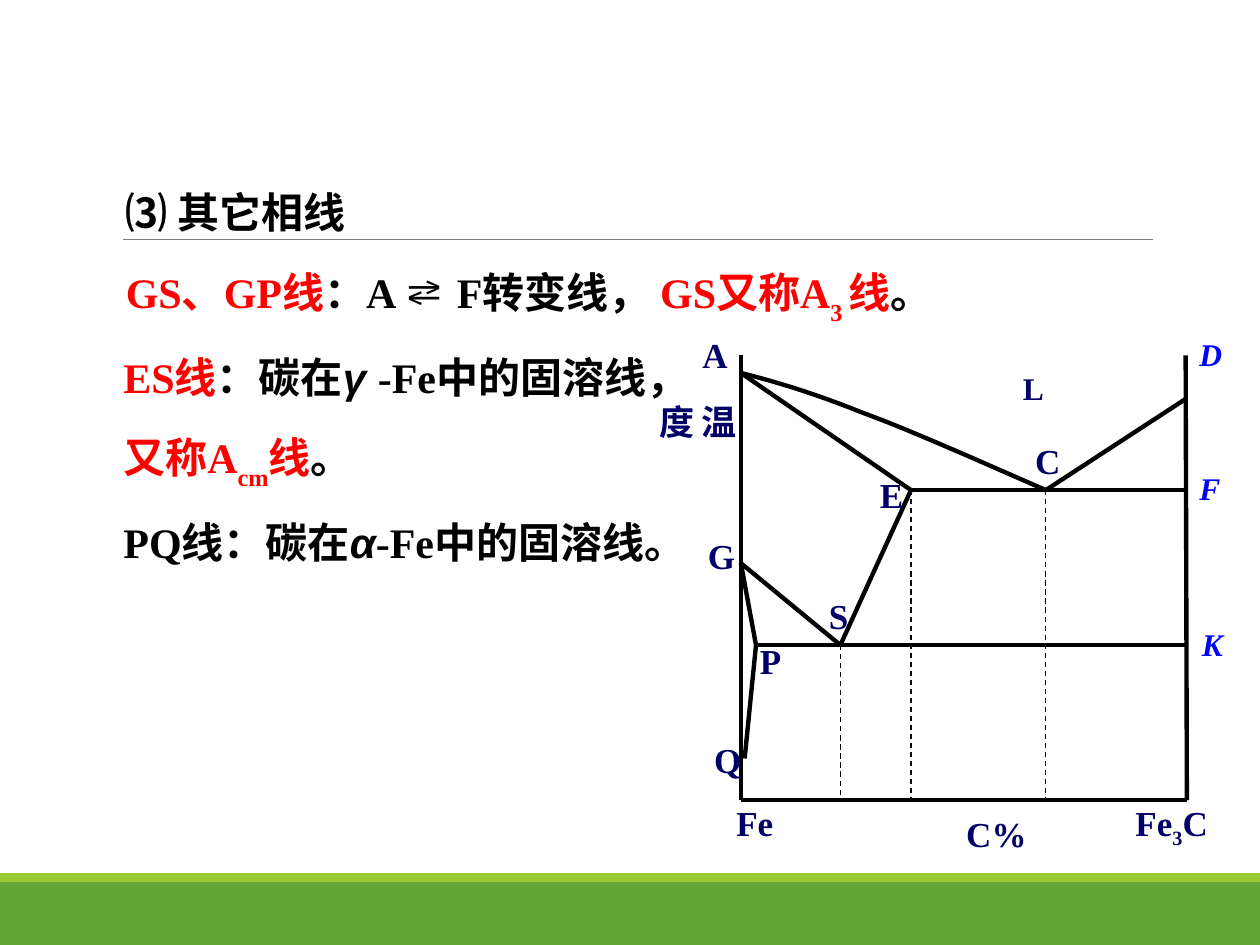
from lxml import etree
from pptx import Presentation
from pptx.dml.color import RGBColor
from pptx.enum.dml import MSO_LINE
from pptx.enum.shapes import MSO_CONNECTOR, MSO_SHAPE
from pptx.enum.text import MSO_AUTO_SIZE, PP_ALIGN
from pptx.oxml.ns import qn
from pptx.util import Inches, Pt

RECT, STRAIGHT = MSO_SHAPE.RECTANGLE, MSO_CONNECTOR.STRAIGHT
DASH = MSO_LINE.DASH
LEFT, CENTER = PP_ALIGN.LEFT, PP_ALIGN.CENTER
GROW, FIXED = MSO_AUTO_SIZE.SHAPE_TO_FIT_TEXT, MSO_AUTO_SIZE.NONE
SERIF, SANS, GREEK = "Times New Roman", "Calibri", "Arial"
COLORS = {"green": "63A537", "lime": "99CB38", "rule": "7F7F7F", "black": "000000",
          "red": "FF0000", "navy": "000066", "blue": "0000FF"}


def rgb(name):
    return RGBColor.from_string(COLORS[name])


def add_line(slide, start, end, color="black", width=2.5, dash=None):
    line = slide.shapes.add_connector(STRAIGHT, *(Inches(v) for v in (*start, *end)))
    line.line.color.rgb = rgb(color)
    line.line.width = Pt(width)
    if dash:
        line.line.dash_style = dash
    etree.SubElement(line._element.spPr, qn("a:effectLst"))


def add_text(slide, box, paragraphs, size, color, spacing=None, align=LEFT,
             italic=None, inset=(0.1, 0.05), wrap=True, auto_size=GROW):
    """Add a bold text box; a run is (text, overrides of color, font, italic, baseline)."""
    sp = slide.shapes.add_textbox(*(Inches(v) for v in box))
    tf = sp.text_frame
    tf.word_wrap, tf.auto_size = wrap, auto_size
    tf.margin_left = tf.margin_right = Inches(inset[0])
    tf.margin_top = tf.margin_bottom = Inches(inset[1])
    for i, runs in enumerate(paragraphs):
        p = tf.add_paragraph() if i else tf.paragraphs[0]
        p.alignment, p.line_spacing = align, spacing
        p.font.size, p.font.bold, p.font.italic = Pt(size), True, italic
        for text, style in runs:
            r = p.add_run()
            r.text = text
            r.font.name = style.get("font", SERIF)
            r.font.color.rgb = rgb(style.get("color", color))
            if "italic" in style:
                r.font.italic = style["italic"]
            if "baseline" in style:
                r.font._element.set("baseline", str(style["baseline"] * 1000))
    return sp


def add_frame(slide):
    for top, height, color in ((7, 0.5, "green"), (6.93, 0.07, "lime")):
        band = slide.shapes.add_shape(RECT, 0, Inches(top), Inches(10), Inches(height))
        band.shadow.inherit = False
        band.fill.solid()
        band.fill.fore_color.rgb = rgb(color)
        band.line.fill.background()
    add_line(slide, (0.98, 1.9), (9.15, 1.9), "rule", 0.5)


def add_explanations(slide, heading_box, body_box):
    red, sans = {"color": "red"}, {"font": SANS}
    greek = {"font": GREEK, "italic": True}
    red_sans = {**red, **sans}
    red_sub = {**red, "baseline": -30}
    add_text(slide, body_box, [
        [("ES线", red), ("：", {}), ("碳在", sans), ("γ ", greek), ("-Fe", {}),
         ("中的固溶线，", sans), ("又称", red_sans), ("A", red), ("cm", red_sub),
         ("线", red_sans), ("。", sans)],
        [("PQ", {}), ("线：碳在", sans), ("α", greek), ("-Fe", {}), ("中的固溶线。", sans)],
    ], 24, "black", spacing=1.5, inset=(0, 0.05), auto_size=FIXED)
    add_text(slide, heading_box, [
        [("⑶ 其它相线", {})],
        [("GS、GP线", red), ("：A ⇄ F转变线， ", {}), ("GS又称A", red),
         ("3 ", red_sub), ("线", red), ("。", {})],
    ], 24, "black", spacing=1.5)


def bezier(p0, p1, p2, p3, steps=12):
    """Return the points of a cubic curve after its start."""
    points = []
    for i in range(1, steps + 1):
        t = i / steps
        u = 1 - t
        points.append(tuple(u**3 * a + 3 * u * u * t * b + 3 * u * t * t * c + t**3 * d
                            for a, b, c, d in zip(p0, p1, p2, p3)))
    return points


def add_curve(slide, points):
    start, *others = [(Inches(x), Inches(y)) for x, y in points]
    builder = slide.shapes.build_freeform(*start)
    builder.add_line_segments(others, close=False)
    curve = builder.convert_to_shape()
    curve.shadow.inherit = False
    curve.fill.background()
    curve.line.color.rgb = rgb("black")
    curve.line.width = Pt(2.5)


def add_phase_diagram(slide, left, top, width, height):
    def at(x, y):
        return left + x, top + y

    eutectic, eutectoid = 1.07, 2.3
    points = {
        "top left": at(0, 0), "top right": at(width - 0.01, 0),
        "bottom left": at(0, height), "bottom right": at(width, height),
        "A": at(0, 0.14), "D": at(width, 0.34), "G": at(0, 1.65), "Q": at(0.03, 3.2),
        "E": at(1.35, eutectic), "C": at(2.42, eutectic), "F": at(width, eutectic),
        "P": at(0.12, eutectoid), "S": at(0.79, eutectoid), "K": at(width, eutectoid),
    }
    edges = [("top left", "bottom left"), ("bottom left", "bottom right"),
             ("bottom right", "top right")]
    for start, end in edges + ["EF", "PK", "AE", "CD", "GP", "GS", "ES", "PQ"]:
        add_line(slide, points[start], points[end])
    for name in "SEC":
        x, y = points[name]
        add_line(slide, (x, y), (x, top + height), width=0.75, dash=DASH)

    middle = at(0.95, 0.45)
    add_curve(slide, [points["A"],
                      *bezier(points["A"], at(0.27, 0.21), at(0.55, 0.29), middle),
                      *bezier(middle, at(1.36, 0.6), at(1.89, 0.84), points["C"])])

    labels = [("S", 0.55, 1.85, 0.45), ("Q", -0.33, 2.99, 0.45), ("P", 0.01, 2.21, 0.45),
              ("G", -0.36, 1.37, 0.39), ("E", 0.97, 0.89, 0.45), ("C", 2.21, 0.62, 0.45),
              ("A", -0.43, -0.22, 0.45), ("Fe", -0.2, 3.49, 0.62), ("C%", 1.69, 3.58, 0.79)]
    for text, x, y, w in labels:
        add_text(slide, (*at(x, y), w, 0.44), [[(text, {})]], 20, "navy",
                 align=LEFT if text == "C%" else CENTER)
    add_text(slide, (*at(3.02, 3.49), 0.8, 0.48),
             [[("Fe", {}), ("3", {"baseline": -25}), ("C", {})]], 20, "navy", align=CENTER)
    add_text(slide, (*at(2.14, 0.06), 0.34, 0.4), [[("L", {})]], 18, "navy", align=CENTER)
    axis = add_text(slide, (*at(-0.5, 0.29), 0.53, 0.72), [[("温度", {})]], 20, "navy",
                    inset=(0.05, 0.1))
    axis.text_frame._txBody.bodyPr.set("vert", "eaVert")
    for text, x, y, w in (("D", 3.54, -0.21, 0.38), ("F", 3.54, 0.85, 0.36),
                          ("K", 3.56, 2.09, 0.29)):
        add_text(slide, (*at(x, y), w, 0.4), [[(text, {})]], 18, "blue",
                 italic=True, wrap=text == "K")


def main():
    prs = Presentation()
    prs.slide_width, prs.slide_height = Inches(10), Inches(7.5)
    slide = prs.slides.add_slide(prs.slide_layouts[6])
    add_frame(slide)
    add_explanations(slide, (0.9, 1.23, 8.66, 1.41), (0.98, 2.54, 4.2, 4.04))
    add_phase_diagram(slide, 5.88, 2.82, 3.54, 3.53)
    prs.save("out.pptx")


if __name__ == "__main__":
    main()
